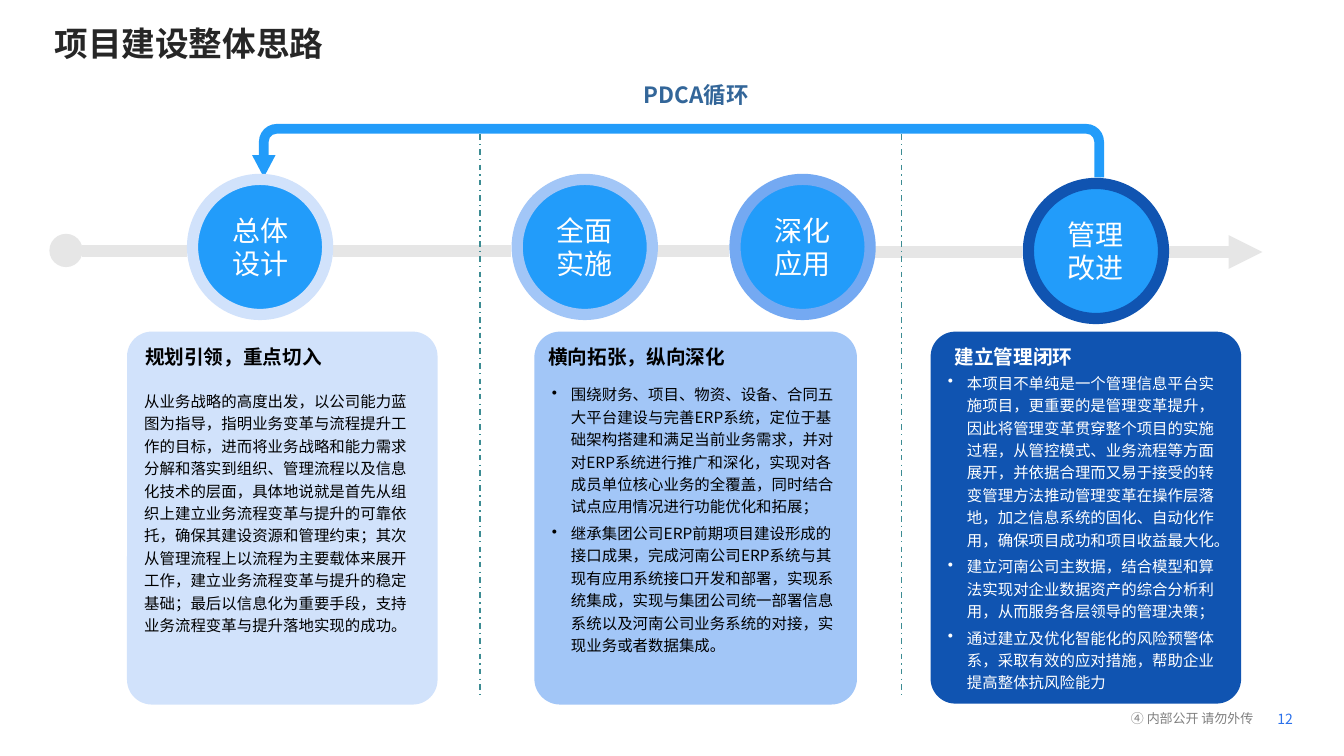
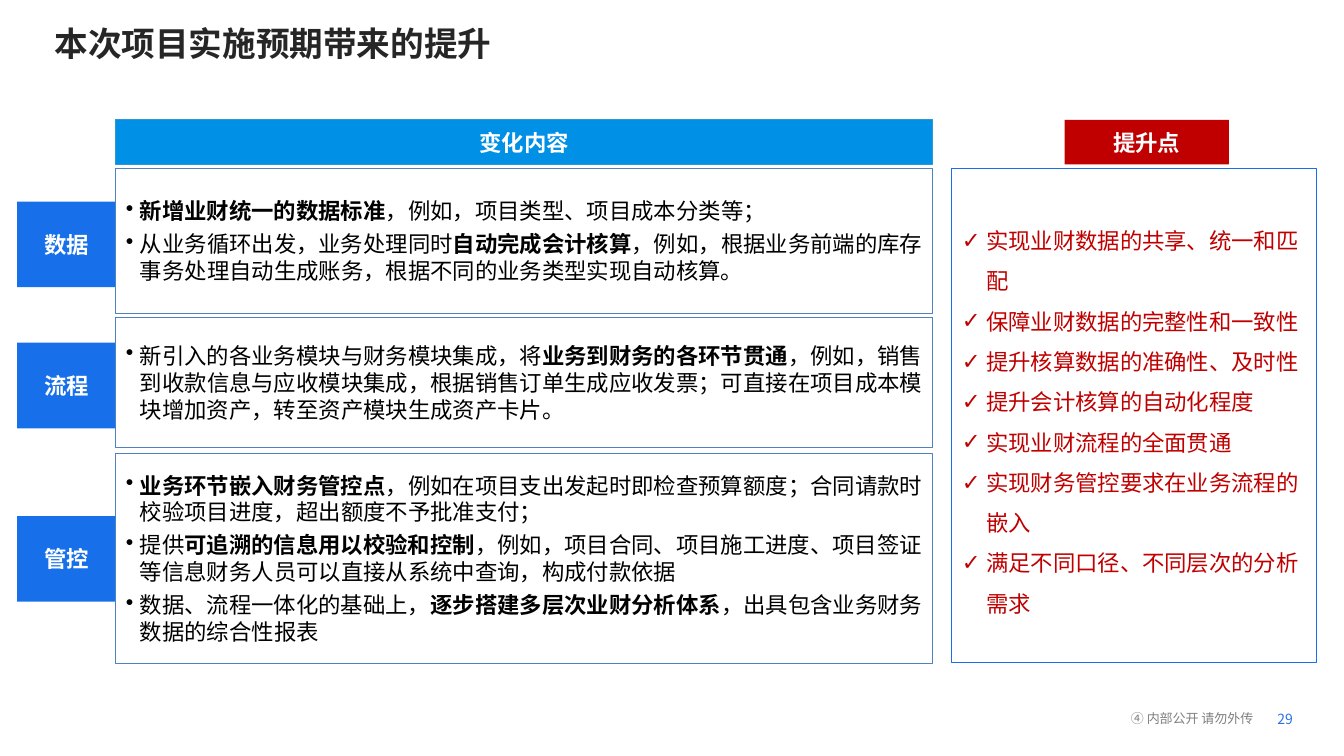
from dataclasses import dataclass

from lxml import etree
from pptx import Presentation
from pptx.dml.color import RGBColor
from pptx.enum.dml import MSO_LINE
from pptx.enum.shapes import MSO_CONNECTOR, MSO_SHAPE
from pptx.enum.text import MSO_ANCHOR, MSO_AUTO_SIZE, PP_ALIGN
from pptx.oxml.ns import qn
from pptx.util import Inches, Pt

RECTANGLE = MSO_SHAPE.RECTANGLE
ROUNDED = MSO_SHAPE.ROUNDED_RECTANGLE
OVAL = MSO_SHAPE.OVAL
U_TURN = MSO_SHAPE.U_TURN_ARROW
STRAIGHT = MSO_CONNECTOR.STRAIGHT
DASH_DOT = MSO_LINE.DASH_DOT
LEFT, CENTER, RIGHT = PP_ALIGN.LEFT, PP_ALIGN.CENTER, PP_ALIGN.RIGHT
TOP, MIDDLE = MSO_ANCHOR.TOP, MSO_ANCHOR.MIDDLE
NO_AUTOFIT = MSO_AUTO_SIZE.NONE
LAYOUT_LIST, LAYOUT_TITLE = 1, 5
INSETS = (0.1, 0.05, 0.1, 0.05)


@dataclass(frozen=True)
class Theme:
    font: str = "Noto Sans CJK SC"
    title: str = "262626"
    black: str = "000000"
    white: str = "FFFFFF"
    gray: str = "808080"
    page: str = "2A71EC"
    cycle: str = "336699"
    sky: str = "229CFA"
    pale: str = "D1E2FB"
    light: str = "A2C6F7"
    medium: str = "74A9F2"
    dark: str = "1054B1"
    track: str = "E6E6E6"
    divider: str = "3C8C93"
    header: str = "0090E6"
    header_line: str = "2C97D3"
    label: str = "1770EA"
    frame: str = "4F81BD"
    red: str = "C00000"
    title_size: float = 24
    stage_size: float = 20
    large_size: float = 16
    heading_size: float = 14
    body_size: float = 11
    page_size: float = 10
    footer_size: float = 9.3


THEME = Theme()

STAGES = [
    (1.91, 1.78, ["总体", "设计"], THEME.pale),
    (5.13, 1.78, ["全面", "实施"], THEME.light),
    (7.29, 1.78, ["深化", "应用"], THEME.medium),
    (10.2, 1.82, ["管理", "改进"], THEME.dark),
]
TRACKS = [(0.81, 1.85, 2.49), (3.3, 5.07, 2.49), (6.52, 7.23, 2.49),
          (8.68, 10.14, 2.5), (11.59, 12.52, 2.5)]

PLAN = ["从业务战略的高度出发，以公司能力蓝图为指导，指明业务变革与流程提升工作的目标，进而将业务战略和能力需求分解和落实到组织、管理流程以及信息化技术的层面，具体地说就是首先从组织上建立业务流程变革与提升的可靠依托，确保其建设资源和管理约束；其次从管理流程上以流程为主要载体来展开工作，建立业务流程变革与提升的稳定基础；最后以信息化为重要手段，支持业务流程变革与提升落地实现的成功。"]
EXPANSION = [
    "围绕财务、项目、物资、设备、合同五大平台建设与完善ERP系统，定位于基础架构搭建和满足当前业务需求，并对对ERP系统进行推广和深化，实现对各成员单位核心业务的全覆盖，同时结合试点应用情况进行功能优化和拓展；",
    "继承集团公司ERP前期项目建设形成的接口成果，完成河南公司ERP系统与其现有应用系统接口开发和部署，实现系统集成，实现与集团公司统一部署信息系统以及河南公司业务系统的对接，实现业务或者数据集成。",
]
CLOSED_LOOP = [
    "本项目不单纯是一个管理信息平台实施项目，更重要的是管理变革提升，因此将管理变革贯穿整个项目的实施过程，从管控模式、业务流程等方面展开，并依据合理而又易于接受的转变管理方法推动管理变革在操作层落地，加之信息系统的固化、自动化作用，确保项目成功和项目收益最大化。",
    "建立河南公司主数据，结合模型和算法实现对企业数据资产的综合分析利用，从而服务各层领导的管理决策；",
    "通过建立及优化智能化的风险预警体系，采取有效的应对措施，帮助企业提高整体抗风险能力",
]
PANELS = [
    ((1.26, 3.29, 3.08, 3.7), THEME.pale, THEME.black, 1.34, "规划引领，重点切入", PLAN,
     {"anchor": TOP, "insets": (0.1, 0.49, 0.1, 0.05)}),
    ((5.3, 3.29, 3.2, 3.7), THEME.light, THEME.black, 5.34, "横向拓张，纵向深化", EXPANSION,
     {"anchor": MIDDLE, "bullet": "•", "indent": 0.19}),
    ((9.23, 3.29, 3.08, 3.69), THEME.dark, THEME.white, 9.37, "建立管理闭环", CLOSED_LOOP,
     {"anchor": TOP, "bullet": "•", "indent": 0.19, "insets": (0.1, 0.31, 0.1, 0.05)}),
]

CHANGES = [
    ("数据", 2.0, 1.67, 1.44, [
        "|新增业财统一的数据标准|，例如，项目类型、项目成本分类等；",
        "从业务循环出发，业务处理同时|自动完成会计核算|，例如，根据业务前端的库存事务处理自动生成账务，根据不同的业务类型实现自动核算。",
    ]),
    ("流程", 3.4, 3.15, 1.29, [
        "新引入的各业务模块与财务模块集成，将|业务到财务的各环节贯通|，例如，销售到收款信息与应收模块集成，根据销售订单生成应收发票；可直接在项目成本模块增加资产，转至资产模块生成资产卡片。",
    ]),
    ("管控", 5.12, 4.5, 2.08, [
        "|业务环节嵌入财务管控点|，例如在项目支出发起时即检查预算额度；合同请款时校验项目进度，超出额度不予批准支付；",
        "提供|可追溯的信息用以校验和控制|，例如，项目合同、项目施工进度、项目签证等信息财务人员可以直接从系统中查询，构成付款依据",
        "数据、流程一体化的基础上，|逐步搭建多层次业财分析体系|，出具包含业务财务数据的综合性报表",
    ]),
]
BENEFITS = [
    "实现业财数据的共享、统一和匹配",
    "保障业财数据的完整性和一致性",
    "提升核算数据的准确性、及时性",
    "提升会计核算的自动化程度",
    "实现业财流程的全面贯通",
    "实现财务管控要求在业务流程的嵌入",
    "满足不同口径、不同层次的分析需求",
]


def rgb(color):
    return RGBColor.from_string(color)


def add_run(paragraph, text, size, color, bold):
    run = paragraph.add_run()
    run.text = text
    run.font.size = Pt(size)
    run.font.bold = bold
    run.font.color.rgb = rgb(color)
    run.font.name = THEME.font
    properties = run.font._element
    etree.SubElement(properties, qn("a:ea")).set("typeface", THEME.font)


def set_bullet(paragraph, bullet, indent):
    properties = paragraph._p.get_or_add_pPr()
    properties.set("marL", str(Inches(indent)))
    properties.set("indent", str(-Inches(indent)))
    etree.SubElement(properties, qn("a:buChar")).set("char", bullet)


def write_text(shape, lines, size=THEME.large_size, color=THEME.black, bold=False, align=LEFT,
               anchor=MIDDLE, insets=INSETS, wrap=True, bullet=None, indent=0,
               line_spacing=None, before=0, after=0):
    frame = shape.text_frame
    frame.auto_size = NO_AUTOFIT
    frame.word_wrap = wrap
    frame.vertical_anchor = anchor
    (frame.margin_left, frame.margin_top,
     frame.margin_right, frame.margin_bottom) = map(Inches, insets)
    for index, line in enumerate(lines):
        paragraph = frame.add_paragraph() if index else frame.paragraphs[0]
        if bullet:
            set_bullet(paragraph, bullet, indent)
        paragraph.alignment = align
        paragraph.line_spacing = line_spacing
        paragraph.space_before = Pt(before if index else 0)
        paragraph.space_after = Pt(after)
        for position, part in enumerate(line.split("|")):
            if part:
                add_run(paragraph, part, size, color, bold or position % 2 == 1)


def place(shape, box):
    shape.left, shape.top, shape.width, shape.height = map(Inches, box)


def add_box(slide, kind, box, fill=None, line=None, line_width=0.75):
    shape = slide.shapes.add_shape(kind, *map(Inches, box))
    shape.shadow.inherit = False
    if fill:
        shape.fill.solid()
        shape.fill.fore_color.rgb = rgb(fill)
    else:
        shape.fill.background()
    if line:
        shape.line.color.rgb = rgb(line)
        shape.line.width = Pt(line_width)
    else:
        shape.line.fill.background()
    return shape


def add_label(slide, box, text, **text_format):
    write_text(slide.shapes.add_textbox(*map(Inches, box)), [text], **text_format)


def add_banner(slide, box, text, fill, line=None):
    banner = add_box(slide, RECTANGLE, box, fill, line)
    write_text(banner, [text], color=THEME.white, bold=True, align=CENTER)


def add_line(slide, start, end, color, width, dash=None, arrow=False):
    connector = slide.shapes.add_connector(STRAIGHT, *map(Inches, start + end))
    connector.line.color.rgb = rgb(color)
    connector.line.width = Pt(width)
    if dash:
        connector.line.dash_style = dash
    if arrow:
        etree.SubElement(connector.line._get_or_add_ln(), qn("a:tailEnd")).set("type", "triangle")
    etree.SubElement(connector._element.spPr, qn("a:effectLst"))


def add_slide(presentation, layout, title, number):
    slide = presentation.slides.add_slide(presentation.slide_layouts[layout])
    place(slide.shapes.title, (0.44, 0.23, 10.6, 0.51))
    write_text(slide.shapes.title, [title], size=THEME.title_size, color=THEME.title, bold=True,
               anchor=TOP, insets=(0.1, 0, 0.1, 0))
    add_label(slide, (10.84, 7.02, 1.6, 0.19), "④ 内部公开 请勿外传", size=THEME.footer_size,
              color=THEME.gray, align=RIGHT, insets=(0.01,) * 4, line_spacing=Pt(13.3))
    add_label(slide, (12.67, 7.05, 0.23, 0.17), number, size=THEME.page_size,
              color=THEME.page, insets=(0,) * 4)
    return slide


def add_stage(slide, left, top, lines, ring):
    circle = add_box(slide, OVAL, (left, top, 1.34, 1.34), THEME.sky, ring, 8)
    write_text(circle, lines, size=THEME.stage_size, color=THEME.white, align=CENTER, wrap=False)


def add_panel(slide, box, fill, color, heading_left, heading, lines, text_format):
    panel = add_box(slide, ROUNDED, box, fill)
    panel.adjustments[0] = 0.08
    write_text(panel, lines, size=THEME.body_size, color=color, line_spacing=Pt(16), after=3,
               **text_format)
    add_label(slide, (heading_left, 3.37, 2.83, 0.34), heading, size=THEME.heading_size,
              color=color, bold=True, anchor=TOP)


def add_cycle_arrow(slide):
    arrow = add_box(slide, U_TURN, (2.5, 1.23, 8.45, 0.53), THEME.sky)
    for index, value in enumerate((0.182, 0.22, 0.418, 0.333, 1)):
        arrow.adjustments[index] = value
    arrow._element.spPr.find(qn("a:xfrm")).set("flipH", "1")
    add_label(slide, (5.84, 0.76, 2.13, 0.37), "PDCA循环", color=THEME.cycle, bold=True,
              align=CENTER, anchor=TOP)


def build_approach(presentation):
    slide = add_slide(presentation, LAYOUT_TITLE, "项目建设整体思路", "12")
    for track in TRACKS:
        start, end, height = track
        add_line(slide, (start, height), (end, height), THEME.track, 8, arrow=track == TRACKS[-1])
    add_box(slide, OVAL, (0.49, 2.32, 0.33, 0.33), THEME.track)
    for left in (4.76, 8.94):
        add_line(slide, (left, 1.33), (left, 6.91), THEME.divider, 1, dash=DASH_DOT)
    add_cycle_arrow(slide)
    for stage in STAGES:
        add_stage(slide, *stage)
    for panel in PANELS:
        add_panel(slide, *panel)


def build_improvements(presentation):
    slide = add_slide(presentation, LAYOUT_LIST, "本次项目实施预期带来的提升", "29")
    add_banner(slide, (1.15, 1.19, 8.1, 0.44), "变化内容", THEME.header, THEME.header_line)
    add_banner(slide, (10.56, 1.19, 1.63, 0.44), "提升点", THEME.red)
    for label, label_top, top, height, lines in CHANGES:
        add_banner(slide, (0.17, label_top, 0.98, 0.85), label, THEME.label)
        content = add_box(slide, RECTANGLE, (1.15, top, 8.1, height), line=THEME.frame)
        write_text(content, lines, bullet="•", indent=0.14, before=2.2, after=2.2,
                   insets=(0.1, 0.05, 0.05, 0.05))
    benefits = slide.placeholders[1]
    place(benefits, (9.44, 1.67, 3.62, 4.9))
    benefits.line.color.rgb = rgb(THEME.label)
    benefits.line.width = Pt(0.75)
    write_text(benefits, BENEFITS, color=THEME.red, bullet="✓", indent=0.24, line_spacing=1.5)


def main():
    presentation = Presentation()
    presentation.slide_width = Inches(13.33)
    presentation.slide_height = Inches(7.5)
    build_approach(presentation)
    build_improvements(presentation)
    presentation.save("out.pptx")


if __name__ == "__main__":
    main()
